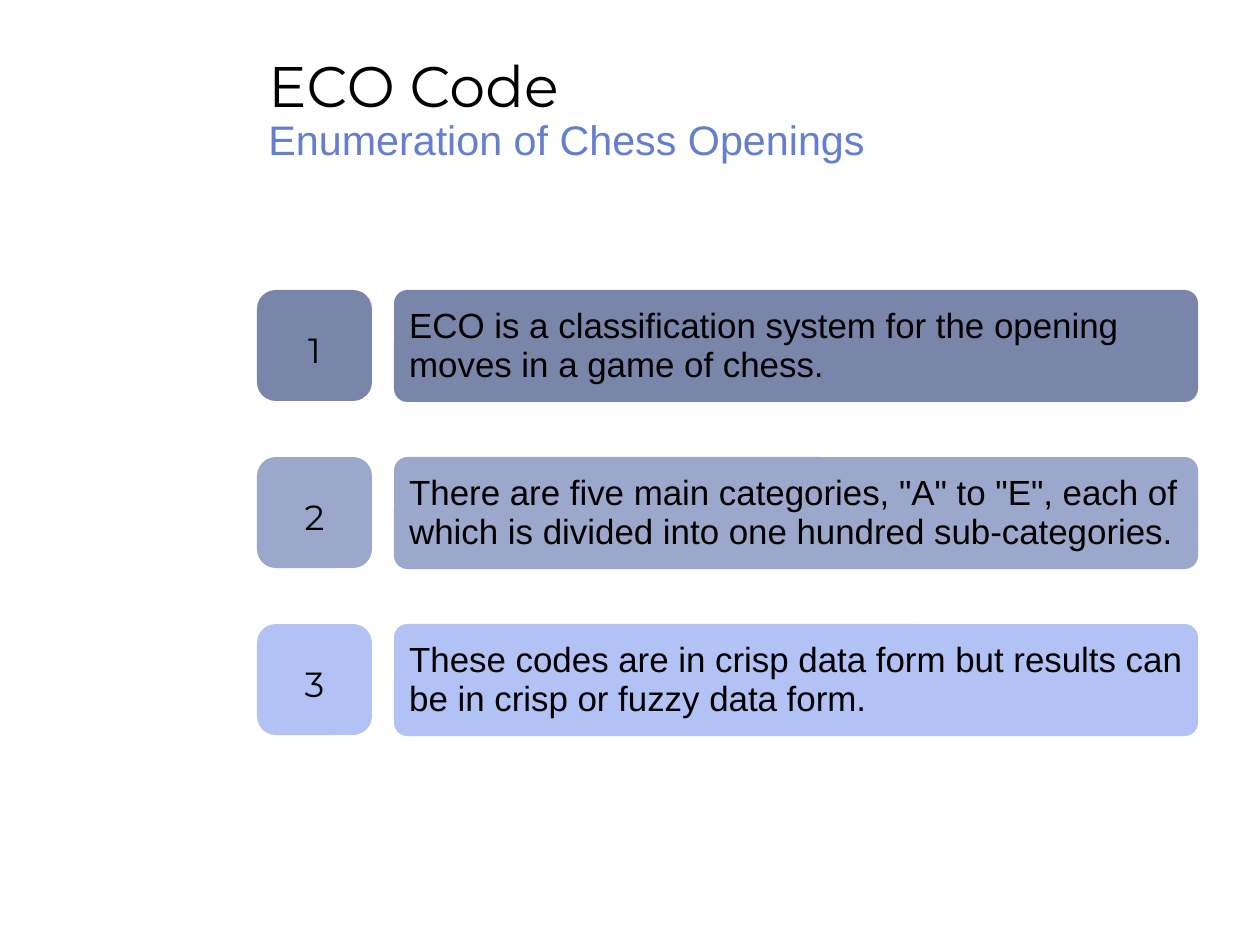
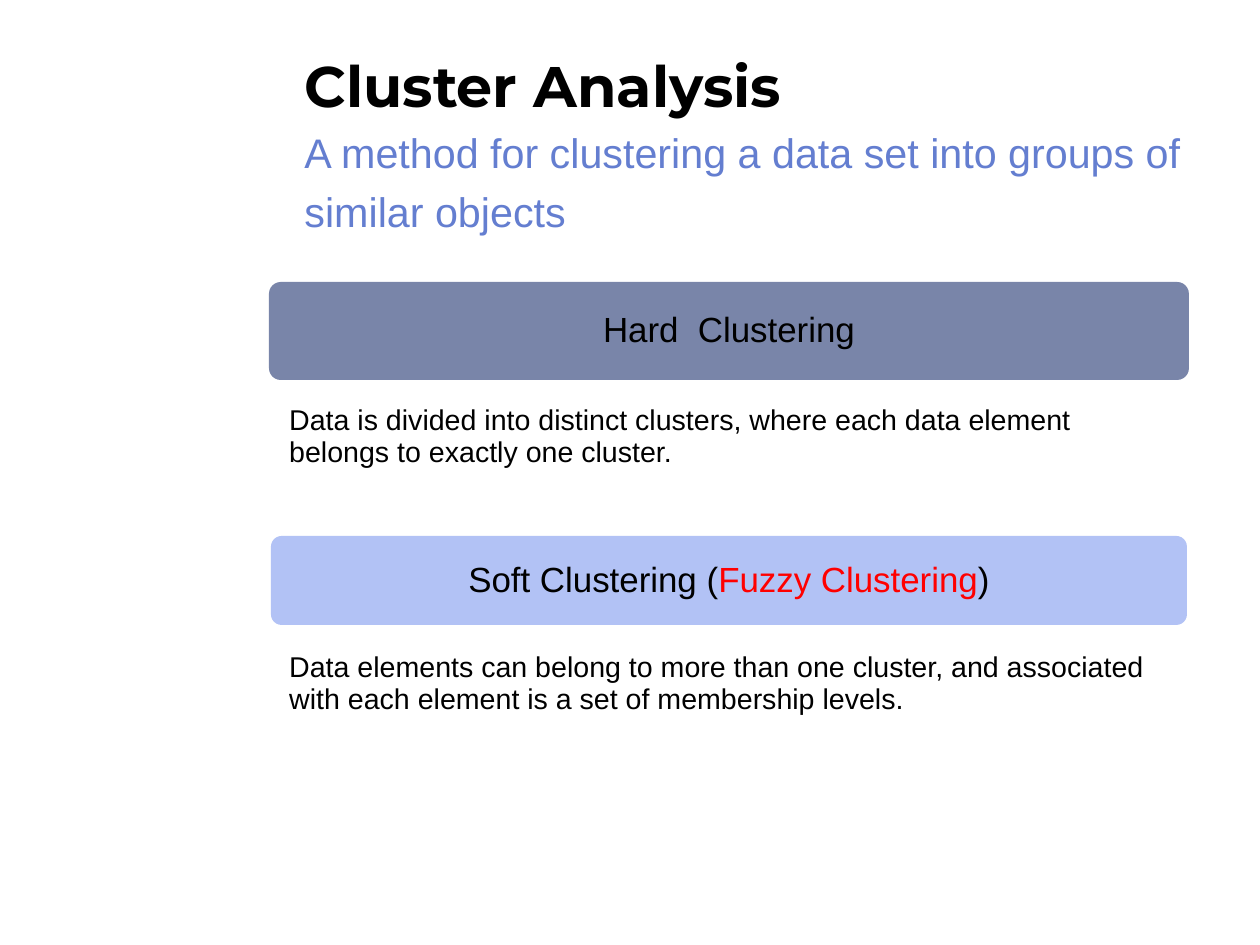
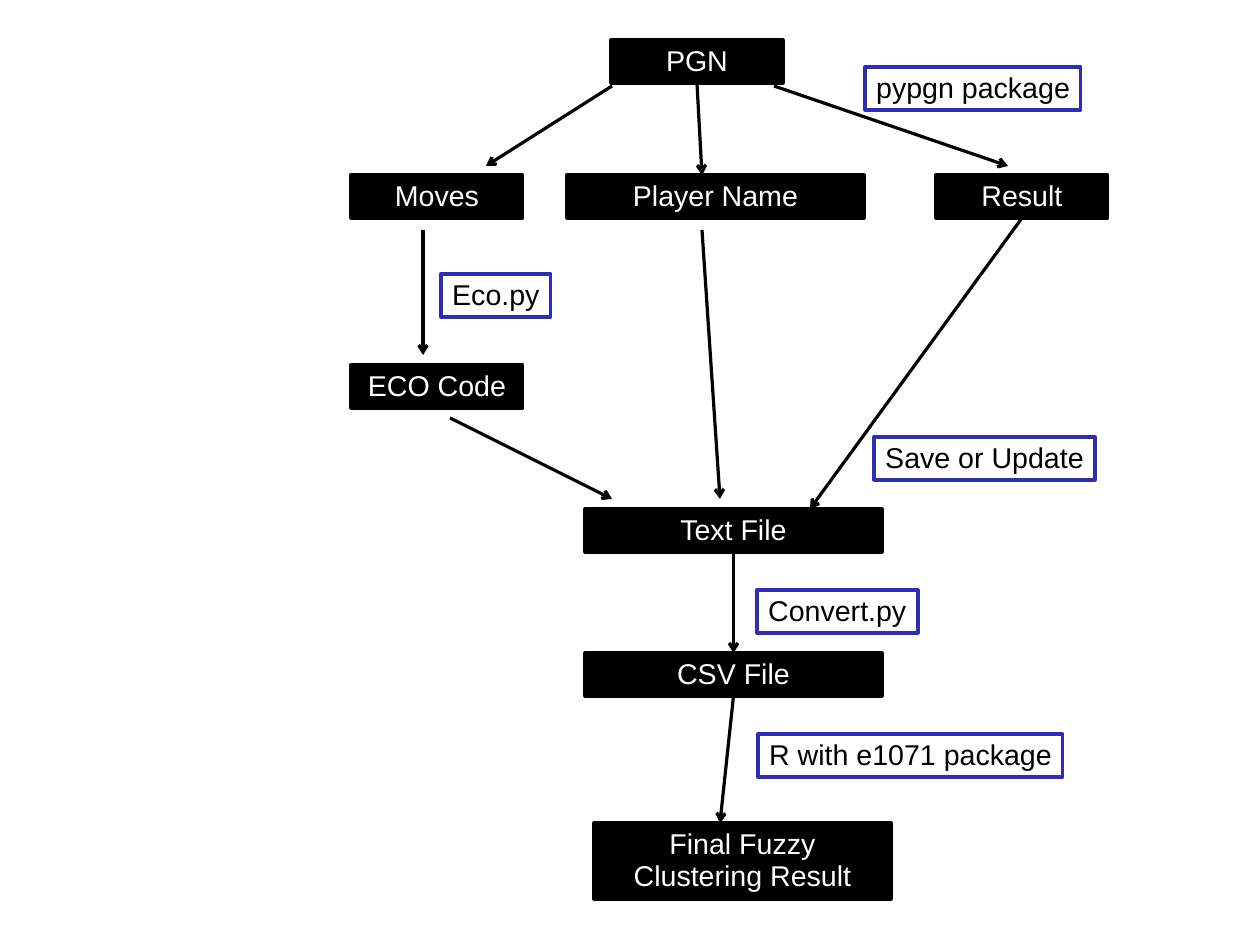
from pptx import Presentation
from pptx.dml.color import RGBColor
from pptx.enum.shapes import MSO_CONNECTOR, MSO_SHAPE
from pptx.enum.text import MSO_ANCHOR, MSO_AUTO_SIZE, PP_ALIGN
from pptx.oxml.xmlchemy import OxmlElement
from pptx.util import Emu, Pt

# Shared style
PX = 8000
SLIDE_W, SLIDE_H = 1260, 945
TITLE_ONLY, BLANK = 5, 6
BODY_FONT, TITLE_FONT = "Arial", "Montserrat"
TIGHT, LOOSE = 0.93, 1.18
BOTTOM, TOP = 2, 0
COLORS = {
    "black": "000000",
    "white": "FFFFFF",
    "slate": "7985A9",
    "mist": "9CA8CB",
    "sky": "B2C2F5",
    "subtitle": "647ED0",
    "label": "2D2DB9",
    "accent": "FF0000",
}


def px(*lengths):
    return [Emu(length * PX) for length in lengths]


def rgb(name):
    return RGBColor.from_string(COLORS[name])


def add_text(frame, text, size=22, color="black", font=BODY_FONT, bold=False,
             align=PP_ALIGN.LEFT, spacing=TIGHT):
    """Append a paragraph; text is a string or a list of (text, color) runs."""
    paragraph = frame.add_paragraph() if frame.text else frame.paragraphs[0]
    paragraph.alignment = align
    paragraph.line_spacing = spacing
    pieces = [(text, color)] if isinstance(text, str) else text
    for piece, piece_color in pieces:
        run = paragraph.add_run()
        run.text = piece
        run.font.size = Pt(size)
        run.font.name = font
        run.font.bold = bold
        run.font.color.rgb = rgb(piece_color)


def add_box(slide, area, fill, outline=None, corner=None,
            anchor=MSO_ANCHOR.MIDDLE, wrap=True):
    preset = MSO_SHAPE.ROUNDED_RECTANGLE if corner else MSO_SHAPE.RECTANGLE
    box = slide.shapes.add_shape(preset, *px(*area))
    box.shadow.inherit = False
    if corner:
        box.adjustments[0] = corner
    box.fill.solid()
    box.fill.fore_color.rgb = rgb(fill)
    if outline:
        box.line.color.rgb = rgb(outline)
        box.line.width = Pt(2)
    else:
        box.line.fill.background()
    box.text_frame.word_wrap = wrap
    box.text_frame.vertical_anchor = anchor
    return box


def add_bar(slide, area, fill, text, align=PP_ALIGN.LEFT):
    bar = add_box(slide, area, fill, corner=0.12)
    add_text(bar.text_frame, text, align=align)


def add_heading(slide, area, title, subtitle, bold=False, subtitle_spacing=TIGHT):
    heading = slide.shapes.title
    heading.left, heading.top, heading.width, heading.height = px(*area)
    frame = heading.text_frame
    frame.word_wrap = True
    frame.auto_size = MSO_AUTO_SIZE.NONE
    frame.vertical_anchor = MSO_ANCHOR.TOP
    add_text(frame, title, size=36, font=TITLE_FONT, bold=bold, spacing=LOOSE)
    add_text(frame, subtitle, size=26, color="subtitle", spacing=subtitle_spacing)


def add_note(slide, area, text):
    note = slide.shapes.add_textbox(*px(*area))
    note.text_frame.word_wrap = True
    add_text(note.text_frame, text, size=18)


def add_step(slide, left, top, width, text, height=43):
    step = add_box(slide, (left, top, width, height), "black", outline="black",
                   anchor=MSO_ANCHOR.TOP)
    add_text(step.text_frame, text, size=18, color="white", align=PP_ALIGN.CENTER)
    return step


def add_label(slide, left, top, width, text):
    label = add_box(slide, (left, top, width, 43), "white", outline="label",
                    anchor=MSO_ANCHOR.TOP, wrap=False)
    add_text(label.text_frame, text, size=18)


def add_arrow(slide, start, end, source=None, target=None):
    """Draw an arrow; a source is left at its bottom, a target met at its top."""
    arrow = slide.shapes.add_connector(MSO_CONNECTOR.STRAIGHT, *px(*start, *end))
    if source is not None:
        arrow.begin_connect(source, BOTTOM)
    if target is not None:
        arrow.end_connect(target, TOP)
    arrow.line.color.rgb = rgb("black")
    arrow.line.width = Pt(2)
    head = OxmlElement("a:tailEnd")
    head.set("type", "arrow")
    arrow.line._get_or_add_ln().append(head)
    arrow._element.spPr.append(OxmlElement("a:effectLst"))


def build_eco_code(slide):
    add_heading(slide, (257, 32, 904, 138), "ECO Code",
                "Enumeration of Chess Openings")
    facts = [
        ("slate", "ECO is a classification system for the opening moves in a "
                  "game of chess."),
        ("mist", 'There are five main categories, "A" to "E", each of which is '
                 "divided into one hundred sub-categories."),
        ("sky", "These codes are in crisp data form but results can be in crisp "
                "or fuzzy data form."),
    ]
    for index, (fill, fact) in enumerate(facts):
        top = 290 + 167 * index
        add_bar(slide, (394, top, 804, 112), fill, fact)
        badge = add_box(slide, (257, top, 115, 111), fill, corner=0.17)
        add_text(badge.text_frame, str(index + 1), font=TITLE_FONT,
                 align=PP_ALIGN.CENTER, spacing=LOOSE)


def build_cluster_analysis(slide):
    add_heading(slide, (293, 32, 904, 209), "Cluster Analysis",
                "A method for clustering a data set into groups of similar objects",
                bold=True, subtitle_spacing=LOOSE)
    soft = [("Soft Clustering (", "black"), ("Fuzzy Clustering", "accent"),
            (")", "black")]
    methods = [
        ((269, 282, 920, 98), "slate", "Hard  Clustering", 399,
         "Data is divided into distinct clusters, where each data element "
         "belongs to exactly one cluster."),
        ((271, 536, 916, 89), "sky", soft, 646,
         "Data elements can belong to more than one cluster, and associated "
         "with each element is a set of membership levels."),
    ]
    for area, fill, name, note_top, note in methods:
        add_bar(slide, area, fill, name, align=PP_ALIGN.CENTER)
        add_note(slide, (278, note_top, 908, 75), note)


def build_workflow(slide):
    narrow, wide = 172, 297

    # Steps
    pgn = add_step(slide, 611, 40, narrow, "PGN")
    add_step(slide, 351, 175, narrow, "Moves")
    add_step(slide, 567, 175, wide, "Player Name")
    result = add_step(slide, 936, 175, narrow, "Result")
    add_step(slide, 351, 365, narrow, "ECO Code")
    text_file = add_step(slide, 585, 509, wide, "Text File")
    csv_file = add_step(slide, 585, 653, wide, "CSV File")
    add_step(slide, 594, 823, wide, "Final Fuzzy Clustering Result", height=76)

    # Arrows
    add_arrow(slide, (612, 86), (486, 166))
    add_arrow(slide, (697, 83), (702, 175), source=pgn)
    add_arrow(slide, (774, 86), (1008, 166))
    add_arrow(slide, (423, 230), (423, 355))
    add_arrow(slide, (450, 418), (612, 499))
    add_arrow(slide, (702, 230), (720, 499))
    add_arrow(slide, (1022, 218), (810, 509), source=result)
    add_arrow(slide, (733, 552), (733, 653), source=text_file, target=csv_file)
    add_arrow(slide, (733, 696), (720, 823), source=csv_file)

    # Tool labels
    for left, top, width, tool in [
        (865, 67, 216, "pypgn package"),
        (441, 274, 110, "Eco.py"),
        (874, 437, 221, "Save or Update"),
        (757, 590, 161, "Convert.py"),
        (758, 734, 305, "R with e1071 package"),
    ]:
        add_label(slide, left, top, width, tool)


def main():
    deck = Presentation()
    deck.slide_width, deck.slide_height = px(SLIDE_W, SLIDE_H)
    for layout, build in [(TITLE_ONLY, build_eco_code),
                          (TITLE_ONLY, build_cluster_analysis),
                          (BLANK, build_workflow)]:
        build(deck.slides.add_slide(deck.slide_layouts[layout]))
    deck.save("out.pptx")


if __name__ == "__main__":
    main()
